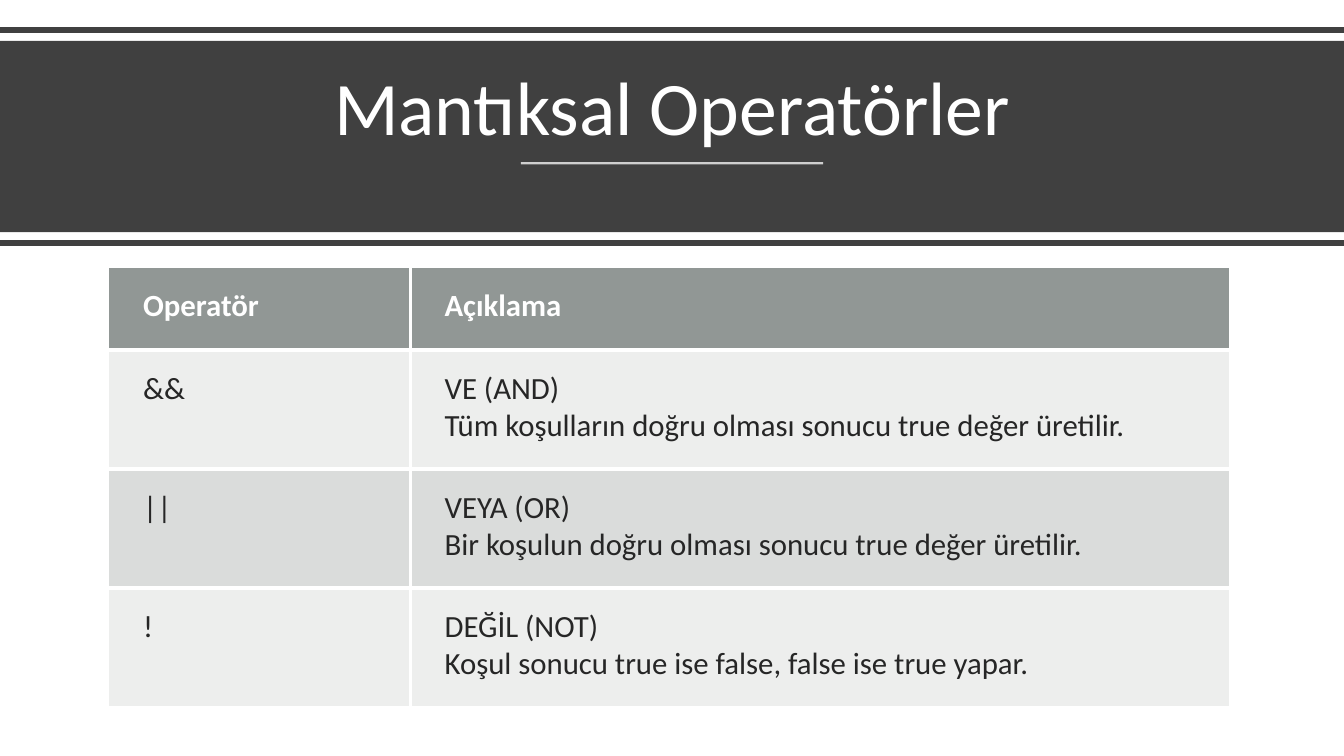
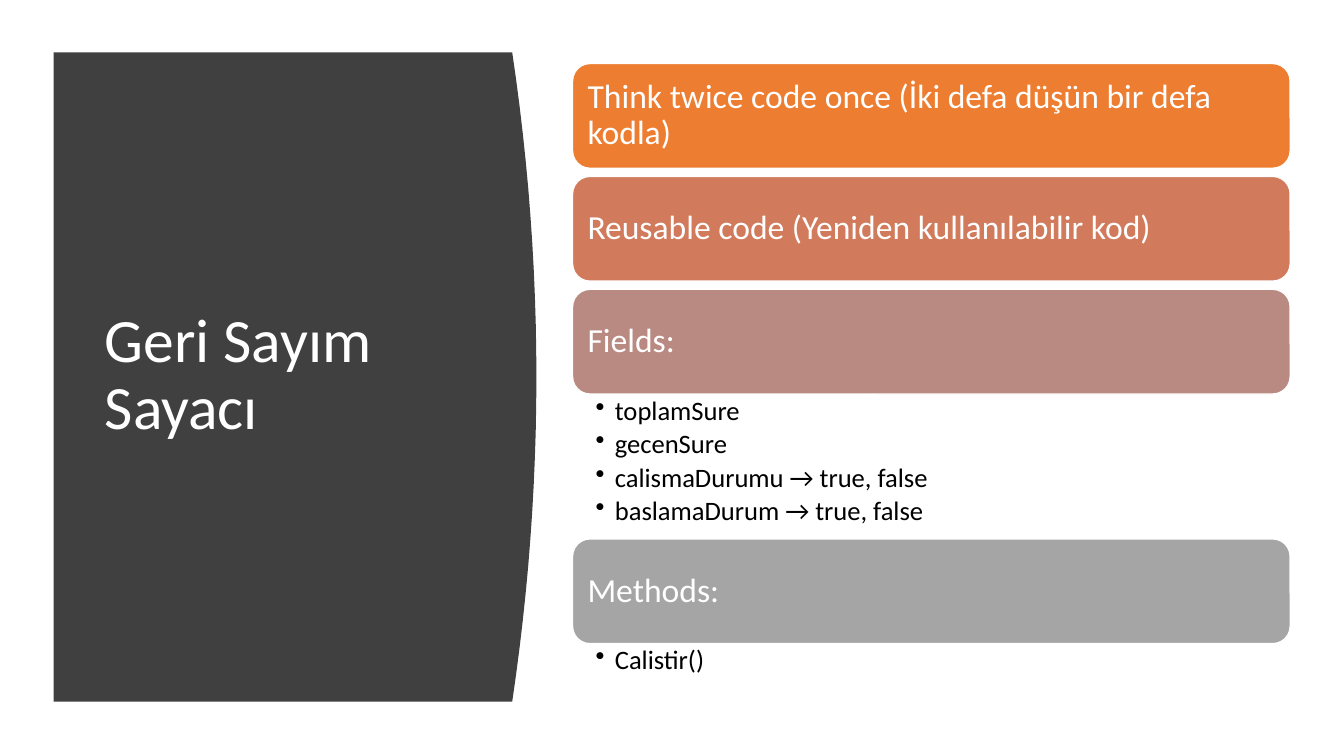
import dataclasses

import lxml.etree
import pptx
import pptx.dml.color
import pptx.enum.shapes
import pptx.enum.text
import pptx.oxml.ns
import pptx.util

Pt = pptx.util.Pt
Inches = pptx.util.Inches
qn = pptx.oxml.ns.qn
ALIGN = pptx.enum.text.PP_ALIGN
ANCHOR = pptx.enum.text.MSO_ANCHOR
SHAPE = pptx.enum.shapes.MSO_SHAPE

COLORS = {
    "dark": "404040",
    "white": "FFFFFF",
    "black": "000000",
    "ink": "262626",
    "header": "636B68",
    "row": "878E8B",
    "orange": "ED7D31",
    "terracotta": "D17B5C",
    "rose": "B98A82",
    "gray": "A5A5A5",
}

FONT = "Calibri"
TIGHT = {"line_spacing": 0.9}
STYLES = {
    "wide title": {"color": "white", "font": {"size": Pt(54)},
                   "para": {**TIGHT, "alignment": ALIGN.CENTER}},
    "side title": {"color": "white", "font": {"size": Pt(44)}, "para": TIGHT},
    "card": {"color": "white", "font": {"size": Pt(24)},
             "para": {**TIGHT, "alignment": ALIGN.LEFT}},
    "bullet": {"color": "black", "font": {"size": Pt(19)},
               "para": {**TIGHT, "space_after": Pt(3.4)}},
    "table header": {"color": "white", "font": {"size": Pt(22), "bold": True}, "para": {}},
    "table body": {"color": "ink", "font": {"size": Pt(22), "bold": False}, "para": {}},
}

OPERATORS = [
    (["Operatör"], ["Açıklama"]),
    (["&&"], ["VE (AND)\vTüm koşulların doğru olması sonucu true değer üretilir."]),
    (["||"], ["VEYA (OR)\vBir koşulun doğru olması sonucu true değer üretilir."]),
    (["!"], ["DEĞİL (NOT)", "Koşul sonucu true ise false, false ise true yapar."]),
]

CARDS = [
    ("Think twice code once (İki defa düşün bir defa kodla)", "orange", []),
    ("Reusable code (Yeniden kullanılabilir kod)", "terracotta", []),
    ("Fields:", "rose", ["toplamSure", "gecenSure", "calismaDurumu → true, false",
                         "baslamaDurum → true, false"]),
    ("Methods:", "gray", ["Calistir()"]),
]


@dataclasses.dataclass
class Box:
    left: int
    top: int
    width: int
    height: int

    def point(self, across, down):
        return (round(self.left + self.width * across / 100),
                round(self.top + self.height * down / 100))

    def region(self, across, down, width, height):
        return Box(*self.point(across, down),
                   round(self.width * width / 100), round(self.height * height / 100))

    def place(self):
        return self.left, self.top, self.width, self.height


def rgb(name):
    return pptx.dml.color.RGBColor.from_string(COLORS[name])


def apply(target, values):
    for name, value in values.items():
        setattr(target, name, value)


def margins(left, top, right, bottom):
    return {"margin_left": Inches(left), "margin_top": Inches(top),
            "margin_right": Inches(right), "margin_bottom": Inches(bottom)}


def paint(fill, color):
    fill.solid()
    fill.fore_color.rgb = rgb(color)


def set_opacity(element, percent):
    color = next(element.iter(qn("a:srgbClr")))
    lxml.etree.SubElement(color, qn("a:alpha"), val=str(percent * 1000))


def add_bullet(para):
    properties = para._p.get_or_add_pPr()
    indent = Inches(0.19)
    properties.set("marL", str(indent))
    properties.set("indent", str(-indent))
    lxml.etree.SubElement(properties, qn("a:buChar"), char="•")


def write(frame, texts, style_name, bulleted=False):
    style = STYLES[style_name]
    for index, text in enumerate(texts):
        para = frame.add_paragraph() if index else frame.paragraphs[0]
        if bulleted:
            add_bullet(para)
        apply(para, style["para"])
        para.text = text
        for span in para.runs:
            apply(span.font, {"name": FONT, **style["font"]})
            span.font.color.rgb = rgb(style["color"])


def add_text(page, box, texts, style_name, frame_format, bulleted=False):
    frame = page.shapes.add_textbox(*box.place()).text_frame
    apply(frame, {"word_wrap": True, **frame_format})
    write(frame, texts, style_name, bulleted)


def add_rule(page, start, end, color, weight, opacity=100):
    rule = page.shapes.add_connector(pptx.enum.shapes.MSO_CONNECTOR.STRAIGHT, *start, *end)
    rule.line.width = Pt(weight)
    paint(rule.line.fill, color)
    if opacity < 100:
        set_opacity(rule._element, opacity)
    lxml.etree.SubElement(rule._element.spPr, qn("a:effectLst"))


def finish_plain(shape, color):
    shape.shadow.inherit = False
    paint(shape.fill, color)
    shape.line.fill.background()


def add_header_band(page, box, title):
    for down in (0, 100):
        add_rule(page, box.point(0, down), box.point(100, down), "dark", 4)
    band = page.shapes.add_shape(SHAPE.RECTANGLE, *box.region(0, 5, 100, 90).place())
    finish_plain(band, "dark")
    add_text(page, box.region(4.35, 11.37, 91.3, 48.34), [title], "wide title",
             {"vertical_anchor": ANCHOR.BOTTOM})
    add_rule(page, box.point(38.75, 62.56), box.point(61.25, 62.56), "white", 1.5, 75)


def add_cell_borders(cell, sides):
    properties = cell._tc.get_or_add_tcPr()
    for side in sides:
        line = lxml.etree.SubElement(properties, qn("a:ln" + side), w=str(Pt(3)))
        fill = lxml.etree.SubElement(line, qn("a:solidFill"))
        lxml.etree.SubElement(fill, qn("a:srgbClr"), val=COLORS["white"])


def add_operator_table(page, box, rows):
    column_shares = (26.9, 73.1)
    row_shares = (18.8, 27.07, 27.07, 27.07)
    table = page.shapes.add_table(len(rows), len(column_shares), *box.place()).table
    table.horz_banding = False
    for column, share in zip(table.columns, column_shares):
        column.width = round(box.width * share / 100)
    for row, share in zip(table.rows, row_shares):
        row.height = round(box.height * share / 100)
    last_row, last_column = len(rows) - 1, len(column_shares) - 1
    for down, texts in enumerate(rows):
        if down == 0:
            style, color, opacity = "table header", "header", 70
        else:
            style, color, opacity = "table body", "row", 15 if down % 2 else 30
        for across, content in enumerate(texts):
            cell = table.cell(down, across)
            apply(cell, margins(0.34, 0.2, 0.2, 0.2))
            inner = {"L": across > 0, "R": across < last_column,
                     "T": down > 0, "B": down < last_row}
            add_cell_borders(cell, [side for side, shown in inner.items() if shown])
            paint(cell.fill, color)
            set_opacity(cell._tc.tcPr.find(qn("a:solidFill")), opacity)
            write(cell.text_frame, content, style)


def add_side_panel(page, box, title):
    corner, steps = 95, 24
    edge = []
    for step in range(steps + 1):
        offset = 2 * step / steps - 1
        edge.append(box.point(corner + (100 - corner) * (1 - offset ** 2), 100 * step / steps))
    builder = page.shapes.build_freeform(*box.point(0, 0))
    builder.add_line_segments(edge + [box.point(0, 100)], close=True)
    finish_plain(builder.convert_to_shape(), "dark")
    add_text(page, box.region(8.56, 9.16, 78.08, 81.37), [title], "side title",
             {"vertical_anchor": ANCHOR.MIDDLE})


def add_card(page, box, text, color):
    card = page.shapes.add_shape(SHAPE.ROUNDED_RECTANGLE, *box.place())
    card.shadow.inherit = False
    paint(card.fill, color)
    paint(card.line.fill, "white")
    card.line.width = Pt(1)
    apply(card.text_frame, {"word_wrap": True, "vertical_anchor": ANCHOR.MIDDLE,
                            **margins(0.1, 0.1, 0.1, 0.1)})
    write(card.text_frame, [text], "card")


def add_card_stack(page, box, cards):
    card_height, gap, bullet_height, bullet_padding = 16.77, 1.29, 5.43, 1.45
    down = 0
    for text, color, bullets in cards:
        add_card(page, box.region(0, down, 100, card_height), text, color)
        down += card_height
        if bullets:
            height = bullet_padding + bullet_height * len(bullets)
            add_text(page, box.region(0, down, 100, height), bullets, "bullet",
                     margins(0.23, 0.03, 0.19, 0.03), bulleted=True)
            down += height
        else:
            down += gap


def build_operator_page(page, box):
    add_header_band(page, box.region(0, 4, 100, 28.13), "Mantıksal Operatörler")
    add_operator_table(page, box.region(8.1, 35.33, 83.4, 58.2), OPERATORS)


def build_countdown_page(page, box):
    add_side_panel(page, box.region(3.98, 6.93, 35.93, 85.87), "Geri Sayım Sayacı")
    add_card_stack(page, box.region(42.6, 8.4, 53.4, 82.67), CARDS)


def main():
    deck = pptx.Presentation()
    apply(deck, {"slide_width": Inches(13.33), "slide_height": Inches(7.5)})
    whole = Box(0, 0, deck.slide_width, deck.slide_height)
    for build in (build_operator_page, build_countdown_page):
        build(deck.slides.add_slide(deck.slide_layouts[6]), whole)
    deck.save("out.pptx")


if __name__ == "__main__":
    main()
